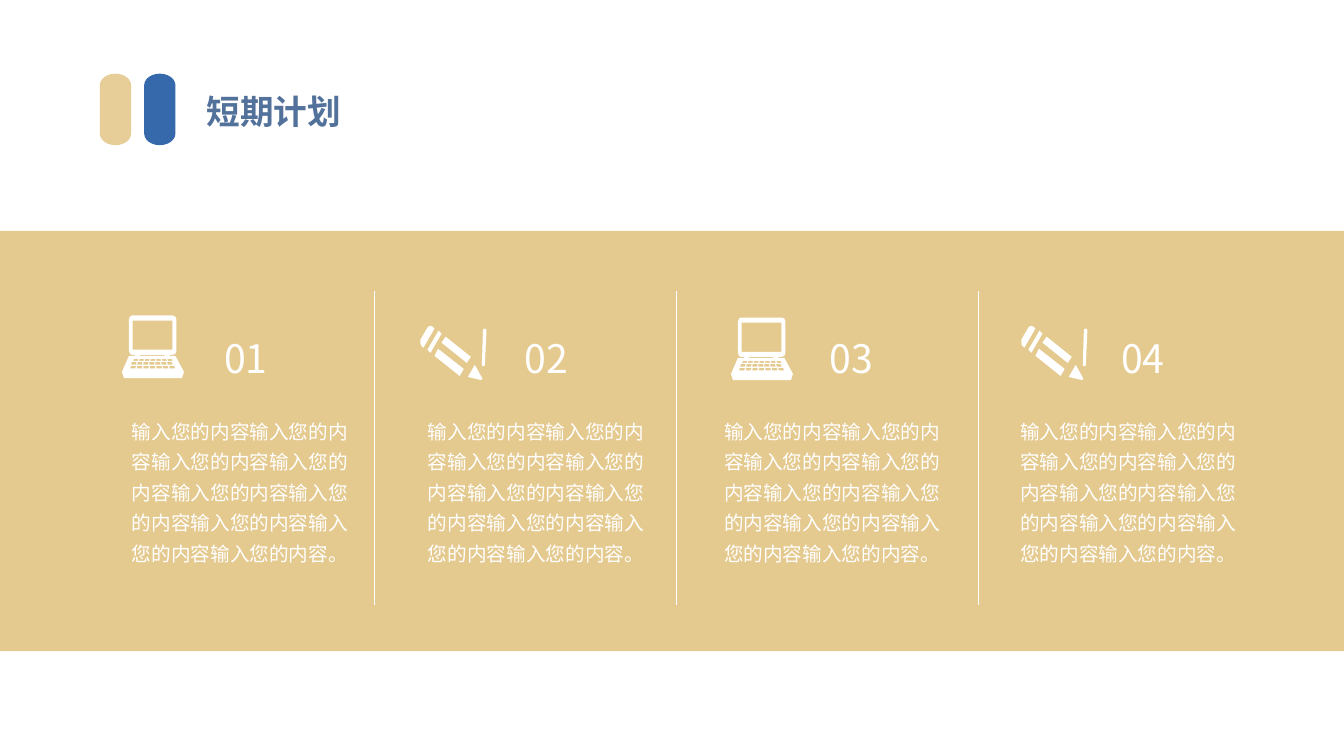
"""Build the short-term plan slide: a title and four numbered columns on a sand band."""
from lxml import etree
from pptx import Presentation
from pptx import util as u
from pptx.dml.color import RGBColor
from pptx.enum import shapes, text
from pptx.oxml.ns import qn

FONT = "Noto Sans CJK SC"
BODY = "输入您的内容" * 9 + "。"
WHITE, SAND = "FFFFFF", "E5CA90"


def paint(shape, color):
    shape.shadow.inherit = False
    shape.fill.solid()
    shape.fill.fore_color.rgb = RGBColor.from_string(color)
    shape.line.fill.background()


def write(para, words, size, color, align, bold=False):
    para.text = words
    para.alignment = align
    para.font.size = u.Pt(size)
    para.font.bold = bold
    para.font.color.rgb = RGBColor.from_string(color)
    para.font.name = FONT
    etree.SubElement(para._p.pPr.find(qn("a:defRPr")), qn("a:ea"), typeface=FONT)


deck = Presentation()
deck.slide_width, deck.slide_height = u.Inches(13.33), u.Inches(7.5)
page = deck.slides.add_slide(deck.slide_layouts[6])

for left, color in [(0.79, "E7CD98"), (1.23, "3669AB")]:
    pill = page.shapes.add_shape(shapes.MSO_SHAPE.FLOWCHART_TERMINATOR, u.Inches(left),
                                 u.Inches(0.93), u.Inches(0.71), u.Inches(0.31))
    pill.rotation = 270
    paint(pill, color)

title = page.shapes.add_textbox(u.Inches(1.95), u.Inches(0.85), u.Inches(1.9), u.Inches(0.5))
title.text_frame.word_wrap = True
title.text_frame.auto_size = text.MSO_AUTO_SIZE.SHAPE_TO_FIT_TEXT
write(title.text_frame.paragraphs[0], "短期计划", 24, "52729B", text.PP_ALIGN.JUSTIFY, True)

band = page.shapes.add_shape(shapes.MSO_SHAPE.RECTANGLE, 0, u.Inches(2.29),
                             u.Inches(13.36), u.Inches(4.17))
paint(band, SAND)

for column, indent in enumerate([0, 0.09, 0.26, 0.17]):
    box = page.shapes.add_textbox(u.Inches(1.21 + 8.81 / 3 * column), u.Inches(3.13),
                                  u.Inches(2.46), u.Inches(2.85))
    frame = box.text_frame
    frame.word_wrap = True
    number, body = frame.paragraphs[0], frame.add_paragraph()
    write(number, f"{column + 1:02}", 28, WHITE, text.PP_ALIGN.CENTER)
    number._p.pPr.set("marL", str(u.Inches(indent)))
    write(body, BODY, 14, WHITE, text.PP_ALIGN.LEFT)
    body.space_before = u.Pt(22)
    number.line_spacing = body.line_spacing = 1.3

for gap in range(3):
    x = u.Inches(3.71 + 5.99 / 2 * gap)
    divider = page.shapes.add_connector(shapes.MSO_CONNECTOR.STRAIGHT,
                                        x, u.Inches(2.89), x, u.Inches(6))
    divider.line.color.rgb = RGBColor.from_string(WHITE)
    divider.line.width = u.Pt(0.5)
    etree.SubElement(divider._element.spPr, qn("a:effectLst"))

# Icon outlines are in thousandths of an inch from the icon's corner.
laptop = [
    [(70, 400), (130, 400), (130, 390), (100, 390), (80, 380), (70, 350), (70, 40),
     (80, 10), (100, 0), (500, 0), (530, 10), (540, 40), (540, 350), (530, 380),
     (500, 390), (470, 390), (470, 400), (530, 400), (615, 560), (595, 620),
     (20, 620), (0, 560)],
    [(180, 400), (420, 400), (420, 390), (180, 390)],
    [(105, 50), (500, 50), (500, 340), (105, 340)],
]
for left, pitch, width, top, bottom in [(120, 55, 43, 430, 450), (100, 58, 46, 460, 487),
                                        (90, 63, 50, 500, 525)]:
    for key in range(7):
        x, lean = left + pitch * key, 3 * (key - 3)
        laptop.append([(x, top), (x + width, top),
                       (x + width + lean + 2, bottom), (x + lean - 2, bottom)])

pencil = [
    [(610, 380), (620, 50), (625, 35), (640, 30), (652, 35), (655, 50), (640, 390),
     (635, 400), (620, 403), (612, 397)],
    [(460, 370), (210, 170), (250, 110), (500, 310)],
    [(390, 500), (140, 300), (175, 230), (430, 430)],
    [(600, 540), (470, 510), (540, 390), (612, 520), (615, 533)],
    [(70, 240), (100, 270), (210, 80), (180, 50)],
    [(10, 200), (0, 180), (0, 140), (70, 20), (90, 2), (120, 10), (140, 30), (30, 220)],
]

for contours, left, top in [(laptop, 1.21, 3.13), (pencil, 4.17, 3.23),
                            (laptop, 7.25, 3.15), (pencil, 10.13, 3.23)]:
    pen = page.shapes.build_freeform(*contours[0][0], scale=914.4)
    for contour in contours:
        pen.move_to(*contour[0])
        pen.add_line_segments(contour[1:], close=True)
    paint(pen.convert_to_shape(u.Inches(left), u.Inches(top)), WHITE)

deck.save("out.pptx")
